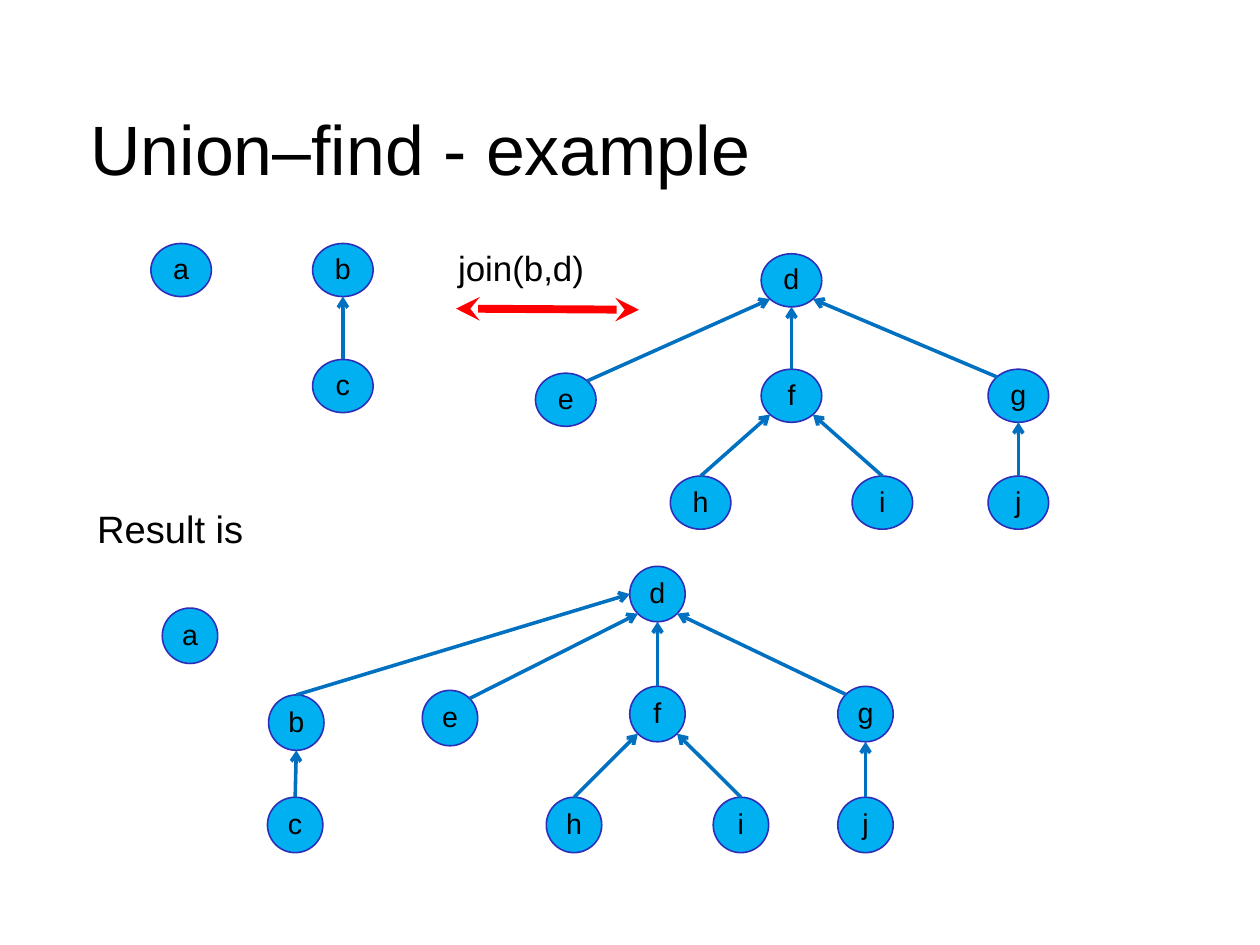
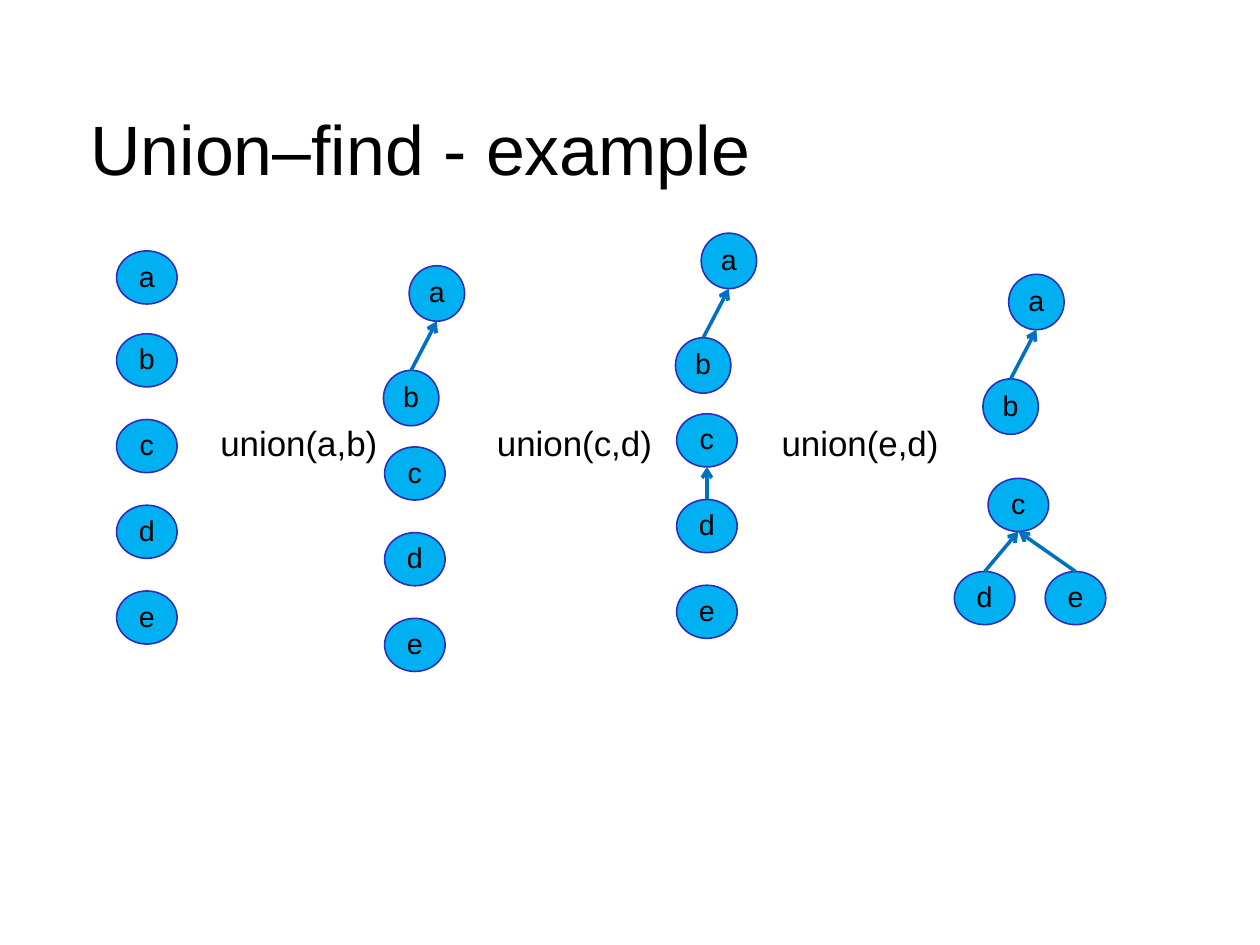
from dataclasses import dataclass
from enum import IntEnum
from math import cos, pi, sin

from lxml.etree import SubElement
from pptx import Presentation
from pptx.dml.color import RGBColor
from pptx.enum.shapes import MSO_CONNECTOR, MSO_SHAPE
from pptx.enum.text import MSO_ANCHOR, MSO_AUTO_SIZE, PP_ALIGN
from pptx.oxml.ns import qn
from pptx.util import Cm, Inches, Pt

# Shared look
BLACK = RGBColor(0x00, 0x00, 0x00)
NODE_FILL = RGBColor(0x00, 0xB0, 0xF0)
NODE_LINE = RGBColor(0x2D, 0x2D, 0xB9)
LINK_BLUE = RGBColor(0x00, 0x70, 0xC0)
RED = RGBColor(0xFF, 0x00, 0x00)
FONT = "Arial"
TITLE = "Union–find - example"

# The page is divided into square cells, counted in columns and rows
PAGE_WIDTH, PAGE_HEIGHT = Cm(28), Cm(21)
CELL = Inches(0.1)
LEFT_MARGIN = 7.9
WIDE = (5.3, 4.65)
ROUND = (4.85, 4.85)


class Site(IntEnum):
    """Connection sites of an ellipse, counter-clockwise from the top."""
    TOP = 0
    TOP_LEFT = 1
    LEFT = 2
    BOTTOM_LEFT = 3
    BOTTOM = 4
    BOTTOM_RIGHT = 5
    RIGHT = 6
    TOP_RIGHT = 7


@dataclass(frozen=True)
class Node:
    letter: str
    column: float
    row: float
    size: tuple[float, float] = WIDE

    def site(self, site: Site) -> tuple[float, float]:
        width, height = self.size
        angle = pi / 2 + site * pi / 4
        return (self.column + width / 2 * (1 + cos(angle)),
                self.row + height / 2 * (1 - sin(angle)))


@dataclass(frozen=True)
class Link:
    child: str
    parent: str
    start: Site = Site.TOP
    end: Site = Site.BOTTOM


@dataclass(frozen=True)
class Label:
    text: str
    column: float
    row: float


def cells(count: float) -> int:
    return round(count * CELL)


def place(shape, column: float, row: float, width: float, height: float) -> None:
    shape.left, shape.top = cells(column), cells(row)
    shape.width, shape.height = cells(width), cells(height)


def write(frame, text: str, *, size: float, align=PP_ALIGN.LEFT,
          anchor=MSO_ANCHOR.TOP, fit=MSO_AUTO_SIZE.NONE,
          margins: tuple[float, float, float] = (1, 0.5, 0.5),
          after: float = 0) -> None:
    """Write one paragraph; margins are (sides, top, bottom) in cells."""
    sides, top, bottom = map(cells, margins)
    frame.word_wrap = True
    frame.auto_size = fit
    frame.vertical_anchor = anchor
    frame.margin_left = frame.margin_right = sides
    frame.margin_top, frame.margin_bottom = top, bottom
    para = frame.paragraphs[0]
    para.alignment = align
    para.line_spacing = 0.93
    para.space_before, para.space_after = Pt(0), Pt(after)
    span = para.add_run()
    span.text = text
    span.font.name, span.font.size = FONT, Pt(size)
    span.font.color.rgb = BLACK


def add_page(deck, layout_index: int):
    page = deck.slides.add_slide(deck.slide_layouts[layout_index])
    title = page.shapes.title
    place(title, LEFT_MARGIN, 6.25, 92.5, 13.7)
    write(title.text_frame, TITLE, size=44, anchor=MSO_ANCHOR.MIDDLE,
          margins=(0, 0.4, 0))
    return page


def add_label(page, label: Label) -> None:
    box = page.shapes.add_textbox(cells(label.column), cells(label.row),
                                  cells(17.7), cells(4.5))
    write(box.text_frame, label.text, size=22, fit=MSO_AUTO_SIZE.SHAPE_TO_FIT_TEXT)


def add_node(shapes, node: Node):
    oval = shapes.add_shape(MSO_SHAPE.OVAL, cells(node.column), cells(node.row),
                            *map(cells, node.size))
    oval.shadow.inherit = False
    oval.fill.solid()
    oval.fill.fore_color.rgb = NODE_FILL
    oval.line.color.rgb = NODE_LINE
    oval.line.width = Pt(1)
    write(oval.text_frame, node.letter, size=18, align=PP_ALIGN.CENTER,
          anchor=MSO_ANCHOR.MIDDLE)
    return oval


def add_line(shapes, start: tuple[float, float], end: tuple[float, float], *,
             color: RGBColor, width: float, heads: dict[str, str]):
    line = shapes.add_connector(MSO_CONNECTOR.STRAIGHT,
                                *map(cells, (*start, *end)))
    line.line.color.rgb = color
    line.line.width = Pt(width)
    properties = line._element.spPr
    outline = properties.find(qn("a:ln"))
    for tag, kind in heads.items():
        SubElement(outline, qn(tag), type=kind)
    SubElement(properties, qn("a:effectLst"))
    return line


def glue(line, tag: str, shape, site: Site) -> None:
    """Join a line end to any of an ellipse's eight sites."""
    SubElement(line._element.nvCxnSpPr.cNvCxnSpPr, qn(tag),
               id=str(shape.shape_id), idx=str(int(site)))


def add_forest(page, nodes: list[Node], links: list[Link]) -> None:
    """Group the nodes with the arrows from children to parents."""
    shapes = page.shapes.add_group_shape().shapes
    by_letter = {node.letter: node for node in nodes}
    ovals = {node.letter: add_node(shapes, node) for node in nodes}
    for link in links:
        line = add_line(shapes, by_letter[link.child].site(link.start),
                        by_letter[link.parent].site(link.end),
                        color=LINK_BLUE, width=2.25, heads={"a:tailEnd": "arrow"})
        if link.start == Site.TOP:
            line.begin_connect(ovals[link.child], 0)
        else:
            glue(line, "a:stCxn", ovals[link.child], link.start)
        glue(line, "a:endCxn", ovals[link.parent], link.end)


def stack(letters: str, column: float, row: float) -> list[Node]:
    return [Node(letter, column, row + 7.5 * index)
            for index, letter in enumerate(letters)]


def pair(column: float, row: float) -> list[Node]:
    return [Node("a", column, row, ROUND),
            Node("b", column - 2.25, row + 9.15, ROUND)]


B_TREE = [Link("c", "b")]
D_TREE = [
    Link("e", "d", Site.TOP_RIGHT, Site.BOTTOM_LEFT),
    Link("f", "d"),
    Link("g", "d", Site.TOP_LEFT, Site.BOTTOM_RIGHT),
    Link("h", "f", end=Site.BOTTOM_LEFT),
    Link("i", "f", end=Site.BOTTOM_RIGHT),
    Link("j", "g"),
]
A_TREE = [Link("b", "a")]


def add_join_page(deck) -> None:
    page = add_page(deck, 1)
    body = page.placeholders[1]
    place(body, LEFT_MARGIN, 44.4, 96.8, 29.5)
    write(body.text_frame, "Result is", size=24, margins=(0, 0.2, 0), after=14.2)
    properties = body.text_frame.paragraphs[0]._p.get_or_add_pPr()
    properties.set("marL", str(cells(0.6)))
    properties.set("indent", "0")
    SubElement(properties, qn("a:buNone"))

    # Before the join
    add_node(page.shapes, Node("a", 13.2, 21.3))
    add_forest(page, [Node("b", 27.35, 21.3), Node("c", 27.35, 31.45)], B_TREE)
    add_forest(page, [
        Node("d", 66.6, 22.2), Node("e", 46.85, 32.65), Node("f", 66.6, 32.3),
        Node("g", 86.45, 32.3), Node("h", 58.65, 41.65), Node("i", 74.55, 41.65),
        Node("j", 86.45, 41.65)], D_TREE)
    add_line(page.shapes, (39.9, 27), (55.9, 27.1), color=RED, width=5,
             heads={"a:headEnd": "stealth", "a:tailEnd": "stealth"})

    # After the join
    add_node(page.shapes, Node("a", 14.2, 53.2, ROUND))
    places = {"b": (23.5, 60.8), "c": (23.4, 69.75), "d": (55.1, 49.55),
              "e": (36.95, 60.4), "f": (55.1, 60.05), "g": (73.3, 60.05),
              "h": (47.8, 69.75), "i": (62.4, 69.75), "j": (73.3, 69.75)}
    add_forest(page, [Node(letter, *spot, ROUND) for letter, spot in places.items()],
               B_TREE + D_TREE + [Link("b", "d", end=Site.LEFT)])
    add_label(page, Label("join(b,d)", 39.1, 21.4))


def add_union_page(deck) -> None:
    page = add_page(deck, 5)
    steps = [
        ([Node("a", 10.2, 21.95), Node("b", 10.2, 29.2),
          *stack("cde", 10.2, 36.7)], []),
        (stack("cde", 33.65, 39.1) + pair(35.8, 23.25), A_TREE),
        (stack("cde", 59.2, 36.2) + pair(61.35, 20.4), A_TREE + [Link("d", "c")]),
        ([Node("c", 86.45, 41.85), Node("d", 83.5, 50), Node("e", 91.45, 50),
          *pair(88.25, 24)], A_TREE + [Link("d", "c"), Link("e", "c")]),
    ]
    for nodes, links in steps:
        add_forest(page, nodes, links)
    for text, column in (("union(a,b)", 18.3), ("union(c,d)", 42.5),
                         ("union(e,d)", 67.4)):
        add_label(page, Label(text, column, 36.7))


def main() -> None:
    deck = Presentation()
    deck.slide_width, deck.slide_height = PAGE_WIDTH, PAGE_HEIGHT
    add_join_page(deck)
    add_union_page(deck)
    deck.save("out.pptx")


if __name__ == "__main__":
    main()
